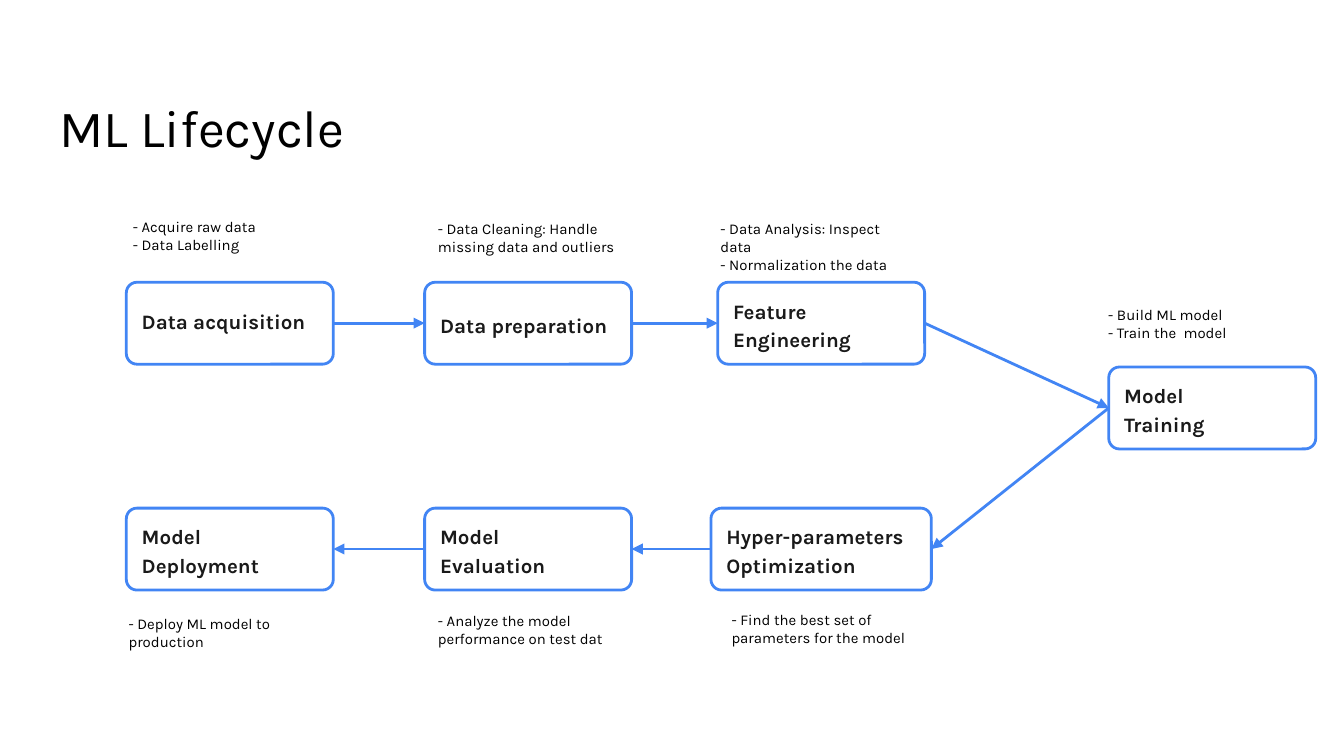
"""Build the ML Lifecycle slide: seven linked stages with notes."""
from dataclasses import dataclass

import pptx
import pptx.dml.color
import pptx.enum.shapes
import pptx.enum.text
import pptx.oxml.ns
import pptx.util
from lxml import etree

Pt = pptx.util.Pt
FONT = "Karla"
BLUE, INK, BLACK, WHITE = "4285F4", "1A1A1A", "000000", "FFFFFF"
TOP_ROW, MIDDLE_ROW, BOTTOM_ROW = 151.2, 196.6, 272.2
BOX_W, BOX_H = 110.9, 43.9
NOTE_H = 33.8
LEFT_SIDE, RIGHT_SIDE = 1, 3


@dataclass
class Stage:
    label: str
    x: float
    y: float
    note: str
    note_x: float
    note_y: float
    note_w: float
    w: float = BOX_W
    spacing: float = 1.15


STAGES = [
    Stage("Data acquisition", 67.7, TOP_ROW,
          "- Acquire raw data\n- Data Labelling", 64.1, 109.4, 110.9, spacing=0.9),
    Stage("Data preparation", 227.5, TOP_ROW,
          "- Data Cleaning: Handle missing data and outliers", 227.5, 110.4, 110.9),
    Stage("Feature Engineering", 384.5, TOP_ROW,
          "- Data Analysis: Inspect data\n- Normalization the data", 378.9, 110.4, 118.1),
    Stage("Model\nTraining", 594, MIDDLE_ROW,
          "- Build ML model\n- Train the  model", 586.6, 156.5, 121.7),
    Stage("Hyper-parameters Optimization", 380.9, BOTTOM_ROW,
          "- Find the best set of parameters for the model", 384.8, 320.2, 121.7, w=118.1),
    Stage("Model\nEvaluation", 227.5, BOTTOM_ROW,
          "- Analyze the model performance on test dat", 227.5, 320.5, 121.7),
    Stage("Model Deployment", 67.7, BOTTOM_ROW,
          "- Deploy ML model to production", 61.8, 322.1, 121.7),
]


def color(hex_string: str) -> pptx.dml.color.RGBColor:
    """Turn a hex string into a colour."""
    return pptx.dml.color.RGBColor.from_string(hex_string)


def write(sp, text: str, size: float, ink: str, inset: float, anchor: str = "TOP",
          bold: bool = False, spacing: float = 1.0) -> None:
    """Fill a shape with left-aligned paragraphs in one style."""
    tf = sp.text_frame
    tf.word_wrap = True
    tf.auto_size = pptx.enum.text.MSO_AUTO_SIZE.NONE
    tf.vertical_anchor = pptx.enum.text.MSO_ANCHOR[anchor]
    tf.margin_left = tf.margin_right = tf.margin_top = tf.margin_bottom = Pt(inset)
    tf.text = text
    for p in tf.paragraphs:
        p.alignment = pptx.enum.text.PP_ALIGN.LEFT
        p.line_spacing = spacing
        p.space_before = p.space_after = Pt(0)
        p.font.name, p.font.size, p.font.bold = FONT, Pt(size), bold
        p.font.color.rgb = color(ink)


def add_stage(s, stage: Stage):
    """Draw a stage box and its note, and return the box."""
    sp = s.shapes.add_shape(pptx.enum.shapes.MSO_SHAPE.ROUNDED_RECTANGLE,
                            Pt(stage.x), Pt(stage.y), Pt(stage.w), Pt(BOX_H))
    sp.adjustments[0] = 0.13
    sp.shadow.inherit = False
    sp.fill.solid()
    sp.fill.fore_color.rgb = color(WHITE)
    sp.line.color.rgb = color(BLUE)
    sp.line.width = Pt(1.5)
    write(sp, stage.label, 11, INK, 6.6, "MIDDLE", True, stage.spacing)
    note = s.shapes.add_textbox(Pt(stage.note_x), Pt(stage.note_y),
                                Pt(stage.note_w), Pt(NOTE_H))
    write(note, stage.note, 8, BLACK, 7.2)
    return sp


def add_arrow(s, start, start_side: int, end, end_side: int) -> None:
    """Join two boxes with an arrow."""
    line = s.shapes.add_connector(pptx.enum.shapes.MSO_CONNECTOR.STRAIGHT, 0, 0, 0, 0)
    line.begin_connect(start, start_side)
    line.end_connect(end, end_side)
    line.line.color.rgb = color(BLUE)
    line.line.width = Pt(1.5)
    qn = pptx.oxml.ns.qn
    etree.SubElement(line.line._get_or_add_ln(), qn("a:tailEnd"), type="triangle")
    etree.SubElement(line._element.spPr, qn("a:effectLst"))


def main() -> None:
    """Build and save the slide."""
    prs = pptx.Presentation()
    prs.slide_width, prs.slide_height = Pt(720), Pt(405)
    s = prs.slides.add_slide(prs.slide_layouts[5])
    title = s.shapes.title
    title.left, title.top, title.width, title.height = Pt(24.5), Pt(43.9), Pt(627.8), Pt(59.8)
    write(title, "ML Lifecycle", 28, BLACK, 7.2)
    boxes = [add_stage(s, stage) for stage in STAGES]
    turn = 3
    for i, (start, end) in enumerate(zip(boxes, boxes[1:])):
        add_arrow(s, start, RIGHT_SIDE if i < turn else LEFT_SIDE,
                  end, LEFT_SIDE if i < turn else RIGHT_SIDE)
    prs.save("out.pptx")


if __name__ == "__main__":
    main()
